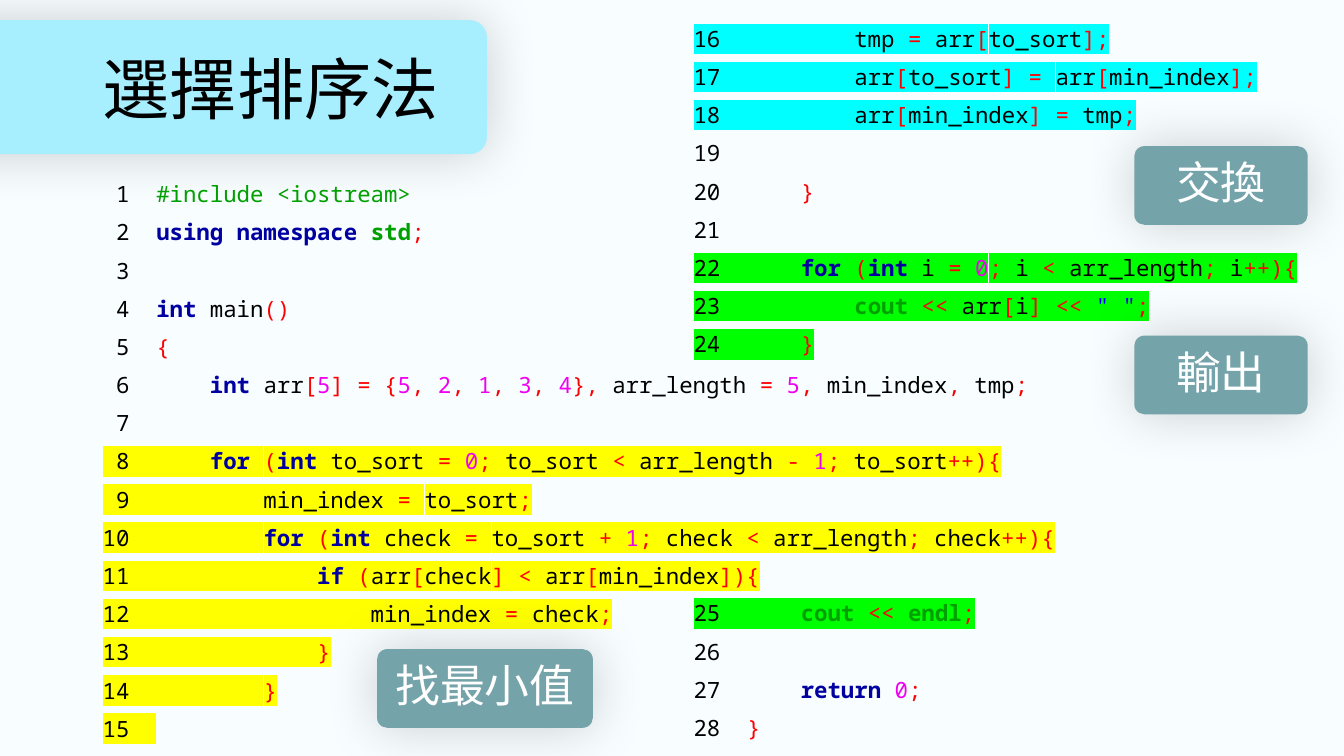
from dataclasses import dataclass
from itertools import groupby

import lxml.etree
import pptx
import pptx.dml.color
import pptx.enum.shapes
import pptx.enum.text
import pptx.oxml.ns
import pptx.util

Inches = pptx.util.Inches
Pt = pptx.util.Pt
qn = pptx.oxml.ns.qn
FONT = "Noto Sans Mono"
BLACK, RED, NAVY, GREEN = "000000", "FF0000", "0000A0", "00A000"
MAGENTA, BLUE, WHITE = "F000F0", "0000FF", "FFFFFF"
CYAN_MARK, YELLOW_MARK, GREEN_MARK = "00FFFF", "FFFF00", "00FF00"
KEYWORDS = {"using", "namespace", "int", "for", "if", "return"}
LIBRARY_NAMES = {"std", "cout", "endl"}
MARKS = {
    **dict.fromkeys(range(8, 16), YELLOW_MARK),
    **dict.fromkeys(range(16, 19), CYAN_MARK),
    **dict.fromkeys(range(22, 26), GREEN_MARK),
}
CODE = """#include <iostream>
using namespace std;

int main()
{
    int arr[5] = {5, 2, 1, 3, 4}, arr_length = 5, min_index, tmp;

    for (int to_sort = 0; to_sort < arr_length - 1; to_sort++){
        min_index = to_sort;
        for (int check = to_sort + 1; check < arr_length; check++){
            if (arr[check] < arr[min_index]){
                min_index = check;
            }
        }

        tmp = arr[to_sort];
        arr[to_sort] = arr[min_index];
        arr[min_index] = tmp;

    }

    for (int i = 0; i < arr_length; i++){
        cout << arr[i] << " ";
    }
    cout << endl;

    return 0;
}""".split("\n")


@dataclass
class Listing:
    left: float
    top: float
    width: float
    height: float
    first: int
    last: int


@dataclass
class Label:
    text: str
    left: float
    top: float
    width: float


LISTINGS = [
    Listing(0.92, 1.77, 11.5, 5.21, 1, 15),
    Listing(6.78, 0.23, 6.49, 3.45, 16, 24),
    Listing(6.78, 5.93, 6.29, 1.53, 25, 28),
]
LABELS = [
    Label("找最小值", 3.74, 6.44, 2.14),
    Label("交換", 11.25, 1.45, 1.72),
    Label("輸出", 11.25, 3.33, 1.72),
]


def color(value: str) -> pptx.dml.color.RGBColor:
    return pptx.dml.color.RGBColor.from_string(value)


def add_span(para, text: str, size: float, ink: str, bold: bool = False, mark: str = "") -> None:
    span = para.add_run()
    span.text = text
    for name, value in {"name": FONT, "size": Pt(size), "bold": bold}.items():
        setattr(span.font, name, value)
    span.font.color.rgb = color(ink)
    properties = span.font._element
    latin = properties.find(qn("a:latin"))
    if mark:
        highlight = lxml.etree.Element(qn("a:highlight"))
        lxml.etree.SubElement(highlight, qn("a:srgbClr"), val=mark)
        latin.addprevious(highlight)
    east_asian = lxml.etree.Element(qn("a:ea"), typeface=FONT)
    latin.addnext(east_asian)


def token_style(token: str) -> tuple[str, bool]:
    word = token.strip()
    if word in KEYWORDS:
        return NAVY, True
    if word in LIBRARY_NAMES:
        return GREEN, True
    if word.isdigit():
        return MAGENTA, False
    if word.startswith('"'):
        return BLUE, False
    return (BLACK if word.replace("_", "").isalnum() else RED), False


def split_tokens(code: str) -> list[str]:
    """Split into words, symbols and strings, each keeping its trailing space."""
    tokens: list[str] = []
    for position, part in enumerate(code.split('"')):
        if position % 2:
            tokens.append(f'"{part}"')
            continue
        for is_word, letters in groupby(part, lambda c: " " if c == " " else c.isalnum() or c == "_"):
            piece = "".join(letters)
            if is_word == " ":
                tokens[-1] += piece
            else:
                tokens.append(piece)
    return tokens


def add_code_line(para, number: int) -> None:
    line = CODE[number - 1]
    code = line.lstrip()
    mark = MARKS.get(number, "")
    prefix = f"{number:>2}  " + line[:len(line) - len(code)]
    add_span(para, prefix if code or mark else prefix.rstrip(), 16, BLACK, mark=mark)
    if code.startswith("#"):
        add_span(para, code, 16, GREEN)
        return
    for (ink, bold), tokens in groupby(split_tokens(code), token_style):
        add_span(para, "".join(tokens), 16, ink, bold, mark)


def add_box(page, left: float, top: float, width: float, height: float):
    box = page.shapes.add_textbox(Inches(left), Inches(top), Inches(width), Inches(height))
    box.text_frame.word_wrap = True
    return box.text_frame


def add_listing(page, listing: Listing) -> None:
    frame = add_box(page, listing.left, listing.top, listing.width, listing.height)
    for number in range(listing.first, listing.last + 1):
        is_first = number == listing.first
        para = frame.paragraphs[0] if is_first else frame.add_paragraph()
        para.line_spacing = 0.9
        para.space_before = Pt(0 if is_first else 10)
        add_code_line(para, number)


def add_panel(page, left: float, top: float, width: float, height: float, fill: str):
    """Add a borderless rounded rectangle with a soft shadow all around."""
    panel = page.shapes.add_shape(
        pptx.enum.shapes.MSO_SHAPE.ROUNDED_RECTANGLE,
        Inches(left), Inches(top), Inches(width), Inches(height))
    panel.adjustments[0] = 0.128
    panel.fill.solid()
    panel.fill.fore_color.rgb = color(fill)
    panel.line.fill.background()
    panel.shadow.inherit = False
    effects = panel._element.spPr.find(qn("a:effectLst"))
    shadow = lxml.etree.SubElement(
        effects, qn("a:outerShdw"), blurRad=str(Pt(38)), algn="ctr", rotWithShape="0")
    tint = lxml.etree.SubElement(shadow, qn("a:srgbClr"), val=BLACK)
    lxml.etree.SubElement(tint, qn("a:alpha"), val="19000")
    return panel


def add_label(page, label: Label) -> None:
    frame = add_panel(page, label.left, label.top, label.width, 0.78, "75A3AA").text_frame
    frame.vertical_anchor = pptx.enum.text.MSO_ANCHOR.MIDDLE
    para = frame.paragraphs[0]
    para.alignment = pptx.enum.text.PP_ALIGN.CENTER
    para.line_spacing = 0.9
    add_span(para, label.text, 32, WHITE)


def main() -> None:
    deck = pptx.Presentation()
    deck.slide_width, deck.slide_height = Inches(13.33), Inches(7.5)
    page = deck.slides.add_slide(deck.slide_layouts[6])
    page.background.fill.solid()
    page.background.fill.fore_color.rgb = color("F8FDFF")
    add_panel(page, -1.57, 0.2, 6.4, 1.33, "A7EEFF")
    title = add_box(page, 0.92, 0.39, 11.5, 1.05)
    title.vertical_anchor = pptx.enum.text.MSO_ANCHOR.MIDDLE
    title.paragraphs[0].line_spacing = 0.9
    add_span(title.paragraphs[0], "選擇排序法", 48, BLACK)
    for listing in LISTINGS:
        add_listing(page, listing)
    for label in LABELS:
        add_label(page, label)
    deck.save("out.pptx")


if __name__ == "__main__":
    main()
